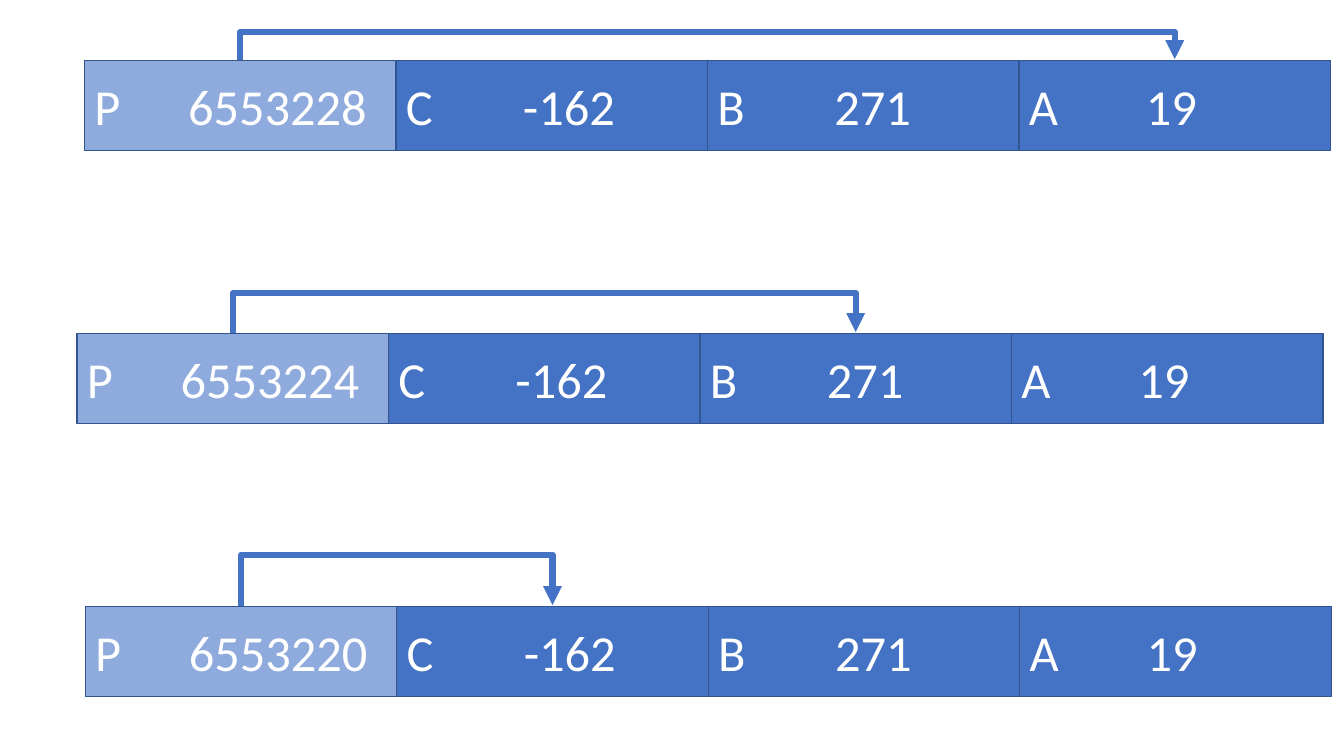
from lxml.etree import SubElement
from pptx import Presentation
from pptx.dml.color import RGBColor
from pptx.enum.shapes import MSO_CONNECTOR as Connector, MSO_SHAPE as Preset
from pptx.enum.text import MSO_ANCHOR as Anchor, PP_ALIGN as Align
from pptx.oxml.ns import qn
from pptx.util import Cm, Pt

BLUE = RGBColor(0x44, 0x72, 0xC4)
LIGHT_BLUE = RGBColor(0x8F, 0xAA, 0xDC)
OUTLINE = RGBColor(0x32, 0x54, 0x91)
WHITE = RGBColor(0xFF, 0xFF, 0xFF)

CELL_WIDTH, CELL_HEIGHT = 7.85, 2.27
FIRST_TOP, ROW_PITCH = 1.52, 6.88
ARROW_DROP = 0.03
POINTER_TAB, VALUE_TAB = 2.36, 2.95
VARIABLES = [("C", "-162"), ("B", "271"), ("A", "19")]
ROWS = [
    (2.13, "6553228", 3, 0.71),
    (1.94, "6553224", 2, 1.01),
    (2.15, "6553220", 1, 1.3),
]


class MemoryDiagram:
    font_name = "Calibri"
    font_size = Pt(36)

    def __init__(self, slide):
        self.slide = slide

    def cell(self, left, top, name, value, fill, tab):
        shape = self.slide.shapes.add_shape(
            Preset.RECTANGLE, Cm(left), Cm(top), Cm(CELL_WIDTH), Cm(CELL_HEIGHT))
        shape.shadow.inherit = False
        shape.fill.solid()
        shape.fill.fore_color.rgb = fill
        shape.line.color.rgb = OUTLINE
        shape.line.width = Pt(1)
        shape.text_frame.vertical_anchor = Anchor.MIDDLE
        paragraph = shape.text_frame.paragraphs[0]
        paragraph.text = f"{name}\t{value}"
        paragraph.alignment = Align.LEFT
        tabs = SubElement(paragraph._p.get_or_add_pPr(), qn("a:tabLst"))
        SubElement(tabs, qn("a:tab"), pos=str(Cm(tab)), algn="l")
        for run in paragraph.runs:
            run.font.name = self.font_name
            run.font.size = self.font_size
            run.font.color.rgb = WHITE

    def arrow(self, start, end, top, rise):
        middle_x, middle_y = (start + end) / 2, top - ARROW_DROP / 2
        half_width, half_height = ARROW_DROP / 2, (end - start) / 2
        connector = self.slide.shapes.add_connector(
            Connector.ELBOW,
            Cm(middle_x + half_width), Cm(middle_y + half_height),
            Cm(middle_x - half_width), Cm(middle_y - half_height))
        connector.line.color.rgb = BLUE
        connector.line.width = Pt(4.5)
        properties = connector._element.spPr
        properties.find(qn("a:xfrm")).set("rot", "5400000")
        adjustments = properties.find(qn("a:prstGeom")).get_or_add_avLst()
        bend = round(rise / ARROW_DROP * 100000)
        SubElement(adjustments, qn("a:gd"), name="adj1", fmla=f"val {bend}")
        SubElement(connector.line._get_or_add_ln(), qn("a:tailEnd"), type="triangle")
        SubElement(properties, qn("a:effectLst"))

    def row(self, left, top, address, target, rise):
        for index, (name, value) in reversed(list(enumerate(VARIABLES, 1))):
            self.cell(left + index * CELL_WIDTH, top, name, value, BLUE, VALUE_TAB)
        self.cell(left, top, "P", address, LIGHT_BLUE, POINTER_TAB)
        start = left + CELL_WIDTH / 2
        self.arrow(start, start + target * CELL_WIDTH, top, rise)


presentation = Presentation()
presentation.slide_width = Cm(33.87)
presentation.slide_height = Cm(19.05)
diagram = MemoryDiagram(presentation.slides.add_slide(presentation.slide_layouts[6]))
for number, (left, address, target, rise) in enumerate(ROWS):
    diagram.row(left, FIRST_TOP + number * ROW_PITCH, address, target, rise)
presentation.save("out.pptx")
